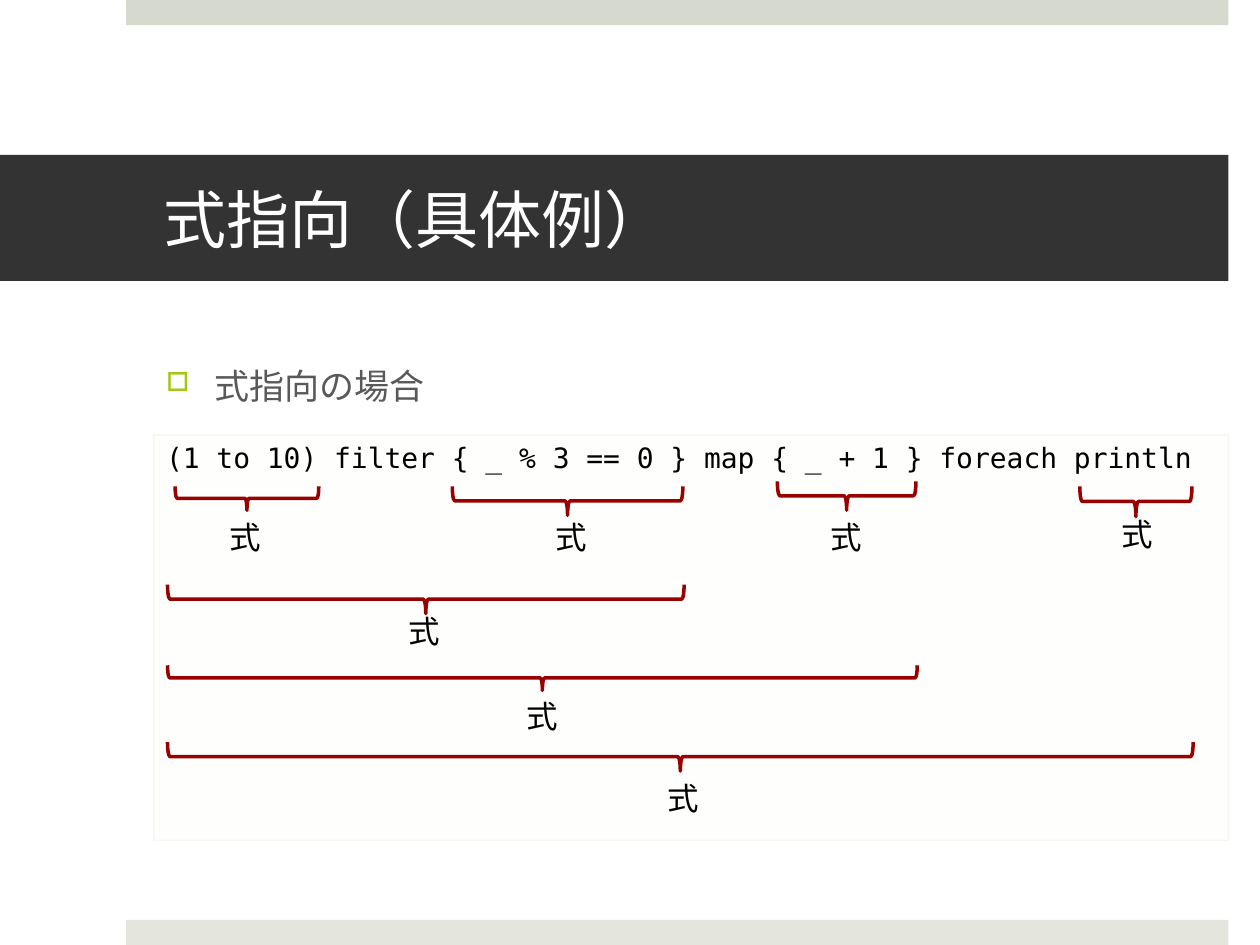
from lxml import etree
from pptx import Presentation
from pptx.dml.color import RGBColor
from pptx.enum.shapes import MSO_SHAPE
from pptx.enum.text import MSO_ANCHOR, MSO_AUTO_SIZE, PP_ALIGN
from pptx.oxml.ns import qn
from pptx.util import Inches, Pt

WHITE = RGBColor(0xFF, 0xFF, 0xFF)
BLACK = RGBColor(0, 0, 0)
TITLE_BAND = RGBColor(0x33, 0x33, 0x33)
TOP_BAR = RGBColor(0xD6, 0xD9, 0xCD)
BOTTOM_BAR = RGBColor(0xE4, 0xE6, 0xDE)
BODY_GRAY = RGBColor(0x59, 0x59, 0x59)
PANEL_FILL = RGBColor(0xEF, 0xF9, 0xCB)
PANEL_LINE = RGBColor(0x7E, 0x8C, 0x4D)
BRACE_RED = RGBColor(0x99, 0, 0)
FONT, CODE_FONT = "Quicksand", "DejaVu Sans Mono"
CODE = "(1 to 10) filter { _ % 3 == 0 } map { _ + 1 } foreach println"

PANEL_BOX = (1.22, 3.45, 8.53, 3.22)
# brace left, top, width, height, then label left, top; all from the panel corner
EXPRESSIONS = [
    (0.17, 0.41, 1.14, 0.19, 0.50, 0.61),
    (2.37, 0.41, 1.83, 0.23, 3.09, 0.61),
    (4.95, 0.37, 1.10, 0.23, 5.27, 0.61),
    (7.35, 0.41, 0.89, 0.24, 7.58, 0.59),
    (0.11, 1.19, 4.10, 0.23, 1.92, 1.36),
    (0.11, 1.83, 5.95, 0.20, 2.86, 2.03),
    (0.11, 2.44, 8.14, 0.23, 3.98, 2.68),
]


def inches(*values):
    """Turn plain numbers into lengths."""
    return [Inches(value) for value in values]


def write(frame, text, size, color, font=FONT):
    """Put one styled run in a text frame and return its paragraph."""
    paragraph = frame.paragraphs[0]
    paragraph.alignment = PP_ALIGN.LEFT
    run = paragraph.add_run()
    run.text = text
    run.font.size, run.font.name = Pt(size), font
    run.font.color.rgb = color
    return paragraph


def add_rect(slide, box, color):
    """Add a plain filled rectangle."""
    rect = slide.shapes.add_shape(MSO_SHAPE.RECTANGLE, *inches(*box))
    rect.shadow.inherit = False
    rect.fill.solid()
    rect.fill.fore_color.rgb = color
    rect.line.fill.background()
    return rect


def add_title(slide, box, text):
    """Format the title placeholder as a dark band."""
    title = slide.shapes.title
    title.left, title.top, title.width, title.height = inches(*box)
    title.fill.solid()
    title.fill.fore_color.rgb = TITLE_BAND
    frame = title.text_frame
    frame.auto_size = MSO_AUTO_SIZE.NONE
    frame.vertical_anchor = MSO_ANCHOR.MIDDLE
    frame.margin_left, frame.margin_right = Inches(1.3), Inches(0.3)
    write(frame, text, 36, WHITE)


def add_bullet(slide, box, text):
    """Add the body text with its square bullet."""
    frame = slide.shapes.add_textbox(*inches(*box)).text_frame
    frame.word_wrap = True
    props = write(frame, text, 20, BODY_GRAY)._p.get_or_add_pPr()
    props.set("marL", str(Inches(0.38)))
    props.set("indent", str(-Inches(0.38)))
    color = etree.SubElement(props, qn("a:buClr"))
    etree.SubElement(color, qn("a:srgbClr"), val="A2C816")
    etree.SubElement(props, qn("a:buSzPct"), val="75000")
    etree.SubElement(props, qn("a:buChar"), char="□")


def add_panel(slide, box):
    """Add the faint panel that holds the line of code."""
    panel = add_rect(slide, box, PANEL_FILL)
    panel.line.color.rgb = PANEL_LINE
    panel.line.width = Pt(1)
    for color in panel._element.spPr.iter(qn("a:srgbClr")):
        etree.SubElement(color, qn("a:alpha"), val="5000")
    panel.text_frame.vertical_anchor = MSO_ANCHOR.TOP
    panel.text_frame.word_wrap = True
    write(panel.text_frame, CODE, 16, BLACK, CODE_FONT)


def add_brace(slide, left, top, width, height):
    """Add a brace that lies under the given span and points down."""
    x, y = left + (width - height) / 2, top + (height - width) / 2
    brace = slide.shapes.add_shape(MSO_SHAPE.LEFT_BRACE, *inches(x, y, height, width))
    brace.rotation = 270
    brace.shadow.inherit = False
    brace.fill.background()
    brace.line.color.rgb = BRACE_RED
    brace.line.width = Pt(2)


def add_expressions(slide, box):
    """Mark each expression in the panel with a brace and a label."""
    x, y = box[:2]
    for left, top, width, height, label_left, label_top in EXPRESSIONS:
        add_brace(slide, x + left, y + top, width, height)
        label = slide.shapes.add_textbox(*inches(x + label_left, y + label_top, 0.45, 0.4))
        label.text_frame.word_wrap = False
        label.text_frame.auto_size = MSO_AUTO_SIZE.SHAPE_TO_FIT_TEXT
        write(label.text_frame, "式", 18, BLACK)


def build():
    """Build the slide and save it."""
    deck = Presentation()
    deck.slide_width, deck.slide_height = inches(10, 7.5)
    slide = deck.slides.add_slide(deck.slide_layouts[5])
    add_rect(slide, (1, 0, 8.75, 0.2), TOP_BAR)
    add_rect(slide, (1, 7.3, 8.75, 0.2), BOTTOM_BAR)
    add_title(slide, (0, 1.23, 9.75, 1), "式指向（具体例）")
    add_bullet(slide, (1.22, 2.84, 8.32, 4.01), "式指向の場合")
    add_panel(slide, PANEL_BOX)
    add_expressions(slide, PANEL_BOX)
    deck.save("out.pptx")


build()
